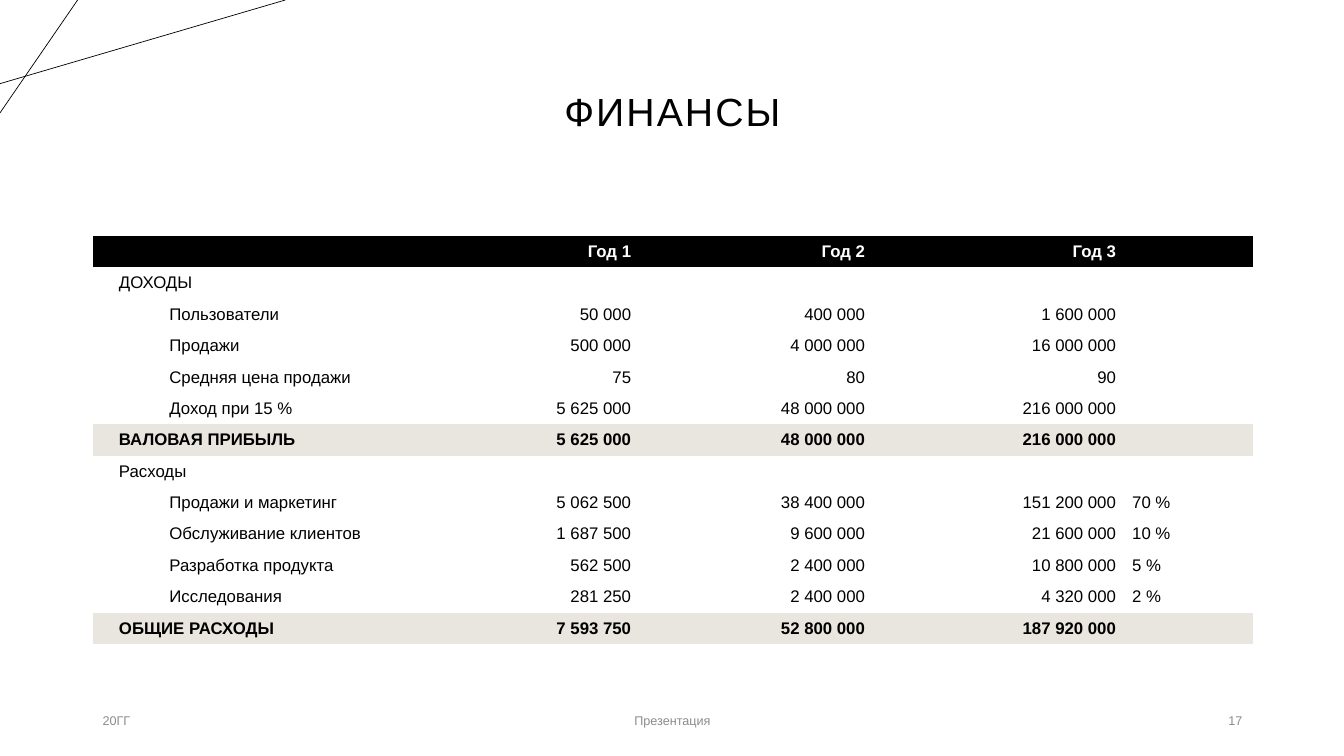
from lxml import etree
from pptx import Presentation, util as u
from pptx.dml.color import RGBColor
from pptx.enum import shapes, text
from pptx.oxml.ns import qn

BLACK = RGBColor(0x00, 0x00, 0x00)
WHITE = RGBColor(0xFF, 0xFF, 0xFF)
SAND = RGBColor(0xE9, 0xE6, 0xDF)
GRAY = RGBColor(0x8C, 0x8C, 0x8C)
LEFT, CENTER, RIGHT = text.PP_ALIGN.LEFT, text.PP_ALIGN.CENTER, text.PP_ALIGN.RIGHT
NBSP = " "
NO_GRID_STYLE = "{2D5ABB26-0587-4C30-8999-92F81FD0307C}"

HEADER, SECTION, ITEM, TOTAL = "header", "section", "item", "total"
ROW_STYLES = {
    HEADER: {"fill": BLACK, "color": WHITE, "bold": True},
    SECTION: {"fill": None, "color": BLACK, "bold": False},
    ITEM: {"fill": None, "color": BLACK, "bold": False},
    TOTAL: {"fill": SAND, "color": BLACK, "bold": True},
}
COLUMN_WIDTHS = [3.54, 1.88, 2.32, 2.49, 1.28]
# Row kind, label, values for three years, share
FINANCES = [
    (HEADER, "", ["Год 1", "Год 2", "Год 3"], ""),
    (SECTION, "ДОХОДЫ", ["", "", ""], ""),
    (ITEM, "Пользователи", [50000, 400000, 1600000], ""),
    (ITEM, "Продажи", [500000, 4000000, 16000000], ""),
    (ITEM, "Средняя цена продажи", [75, 80, 90], ""),
    (ITEM, "Доход при 15 %", [5625000, 48000000, 216000000], ""),
    (TOTAL, "ВАЛОВАЯ ПРИБЫЛЬ", [5625000, 48000000, 216000000], ""),
    (SECTION, "Расходы", ["", "", ""], ""),
    (ITEM, "Продажи и маркетинг", [5062500, 38400000, 151200000], "70 %"),
    (ITEM, "Обслуживание клиентов", [1687500, 9600000, 21600000], "10 %"),
    (ITEM, "Разработка продукта", [562500, 2400000, 10800000], "5 %"),
    (ITEM, "Исследования", [281250, 2400000, 4320000], "2 %"),
    (TOTAL, "ОБЩИЕ РАСХОДЫ", [7593750, 52800000, 187920000], ""),
]


def grouped(value):
    return f"{value:,}".replace(",", NBSP) if isinstance(value, int) else value


class SlideBuilder:
    font_name = "Arial"

    def __init__(self, slide):
        self.slide = slide

    def add_wording(self, paragraph, wording, align, size, color, bold=False):
        paragraph.alignment = align
        if not wording:
            etree.SubElement(paragraph._p, qn("a:endParaRPr"), sz=str(size * 100))
            return None
        run = paragraph.add_run()
        run.text = wording
        formats = {"name": self.font_name, "size": u.Pt(size), "bold": bold}
        for key, value in formats.items():
            setattr(run.font, key, value)
        run.font.color.rgb = color
        return run

    def line(self, start, end):
        points = [u.Inches(v) for v in (*start, *end)]
        stroke = self.slide.shapes.add_connector(shapes.MSO_CONNECTOR.STRAIGHT, *points)
        stroke.line.color.rgb = BLACK
        stroke.line.width = u.Pt(0.5)
        etree.SubElement(stroke._element.spPr, qn("a:effectLst"))

    def title(self, wording, left, top, width, height):
        heading = self.slide.shapes.title
        place = {"left": left, "top": top, "width": width, "height": height}
        for key, value in place.items():
            setattr(heading, key, u.Inches(value))
        frame = heading.text_frame
        frame.auto_size = text.MSO_AUTO_SIZE.NONE
        frame.vertical_anchor = text.MSO_ANCHOR.MIDDLE
        frame.paragraphs[0].line_spacing = 0.9
        run = self.add_wording(frame.paragraphs[0], wording, CENTER, 28, BLACK)
        run.font._element.set("spc", "150")

    def footer(self, wording, left, width, align):
        place = [u.Inches(v) for v in (left, 6.95, width, 0.4)]
        frame = self.slide.shapes.add_textbox(*place).text_frame
        frame.word_wrap = True
        frame.vertical_anchor = text.MSO_ANCHOR.MIDDLE
        self.add_wording(frame.paragraphs[0], wording, align, 9, GRAY)

    def cell(self, cell, wording, align, style, margin_left=0.08, indent=0):
        margins = {"margin_left": margin_left, "margin_right": 0.08,
                   "margin_top": 0.04, "margin_bottom": 0.04}
        for key, value in margins.items():
            setattr(cell, key, u.Inches(value))
        cell.vertical_anchor = text.MSO_ANCHOR.MIDDLE
        if style["fill"] is None:
            cell.fill.background()
        else:
            cell.fill.solid()
            cell.fill.fore_color.rgb = style["fill"]
        paragraph = cell.text_frame.paragraphs[0]
        self.add_wording(paragraph, wording, align, 12, style["color"], style["bold"])
        if indent:
            paragraph.level = 1
            properties = paragraph._p.get_or_add_pPr()
            properties.set("marL", str(u.Inches(indent)))
            properties.set("indent", "0")

    def table(self, rows, widths, left, top, width, height):
        place = [u.Inches(v) for v in (left, top, width, height)]
        grid = self.slide.shapes.add_table(len(rows), len(widths), *place).table
        grid.first_row = grid.horz_banding = False
        grid._tbl.tblPr.find(qn("a:tableStyleId")).text = NO_GRID_STYLE
        for column, column_width in zip(grid.columns, widths):
            column.width = u.Inches(column_width)
        for row, (kind, label, years, share) in zip(grid.rows, rows):
            row.height = u.Inches(height / len(rows))
            style = ROW_STYLES[kind]
            label_cell, *year_cells, share_cell = row.cells
            self.cell(label_cell, label, LEFT, style, 0.26, 0.5 if kind == ITEM else 0)
            for year_cell, amount in zip(year_cells, years):
                self.cell(year_cell, grouped(amount), RIGHT, style)
            self.cell(share_cell, share, LEFT, style)


def main():
    deck = Presentation()
    deck.slide_width, deck.slide_height = u.Inches(13.33), u.Inches(7.5)
    builder = SlideBuilder(deck.slides.add_slide(deck.slide_layouts[5]))

    # Corner lines
    builder.line((0, 0.83), (2.83, 0))
    builder.line((0.77, 0), (0, 1.12))

    # Title and finance table
    builder.title("ФИНАНСЫ", 0.92, 0.4, 11.5, 1.45)
    builder.table(FINANCES, COLUMN_WIDTHS, 0.92, 2.34, 11.5, 4.05)

    # Footer
    builder.footer("20ГГ", 0.92, 3, LEFT)
    builder.footer("Презентация", 4.42, 4.5, CENTER)
    builder.footer("17", 9.42, 3, RIGHT)

    deck.save("out.pptx")


if __name__ == "__main__":
    main()
